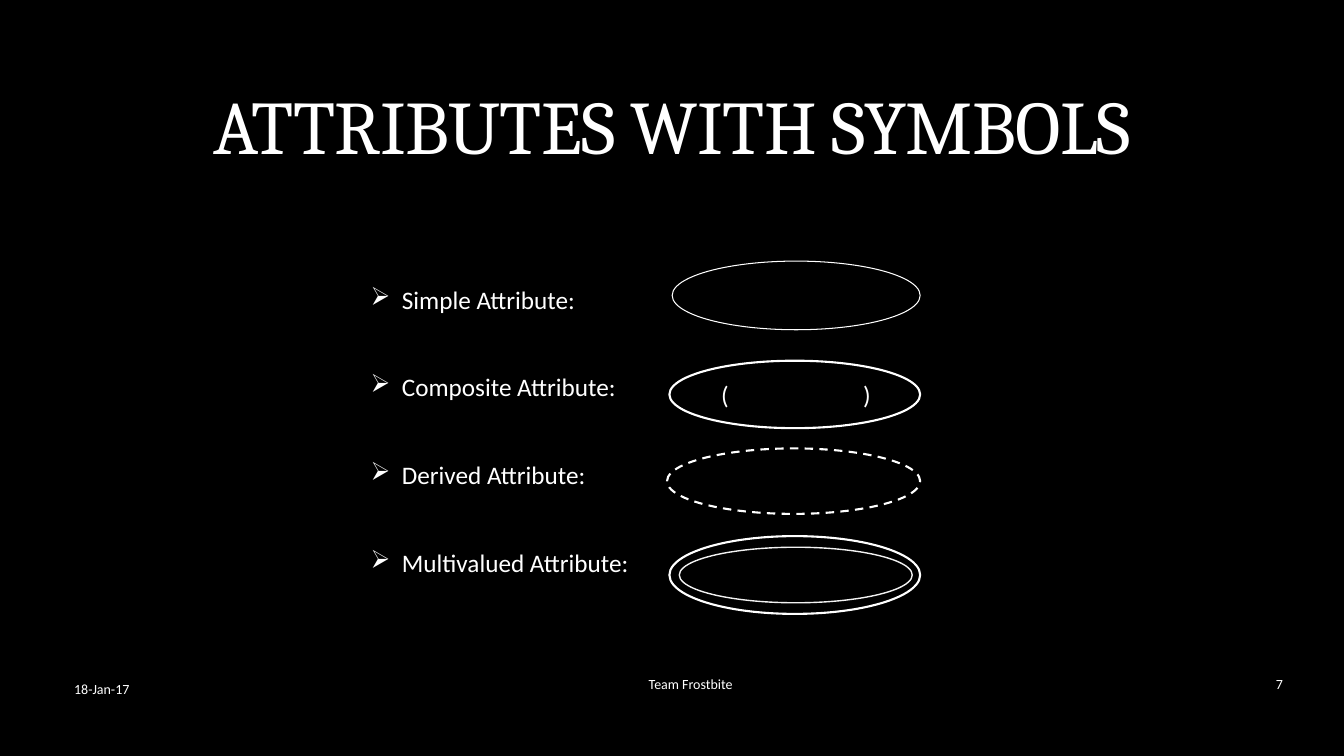
from lxml import etree
from pptx import Presentation
from pptx import util as u
from pptx.dml.color import RGBColor
from pptx.enum import dml, shapes, text
from pptx.oxml.ns import qn

THEME = {
    "background": "000000", "ink": "FFFFFF", "inner_ring": "F2F2F2",
    "heading_font": "Cambria", "body_font": "Calibri",
    "title_size": 54, "body_size": 18, "footer_size": 10,
}
TITLE = "ATTRIBUTES WITH SYMBOLS"
# Each attribute: label, then its ellipses as
# (left, top, width, height in cm, line width in pt, colour, dashed, text)
ATTRIBUTES = [
    ("Simple Attribute:",
     [(16.94, 6.58, 6.25, 1.73, 0.75, "ink", False, "")]),
    ("Composite Attribute:",
     [(16.87, 9.09, 6.32, 1.7, 1.5, "ink", False, "(\t)")]),
    ("Derived Attribute:",
     [(16.81, 11.3, 6.38, 1.65, 1.5, "ink", True, "")]),
    ("Multivalued Attribute:",
     [(16.87, 13.51, 6.32, 1.96, 1.5, "ink", False, ""),
      (17.12, 13.79, 5.87, 1.4, 1, "inner_ring", False, "")]),
]
# Each footer: text, box in cm, alignment
FOOTERS = [
    ("18-Jan-17", (1.55, 16.84, 1.96, 1.04), "RIGHT"),
    ("Team Frostbite", (16.1, 16.71, 7.77, 1.04), "LEFT"),
    ("7", (31.06, 16.71, 1.52, 1.04), "RIGHT"),
]
TITLE_BOX = (0, 1.7, 33.87, 4.04)
LIST_BOX = (9.09, 5.79, 16.41, 10.13)
LIST_GAP, LIST_INDENT = 41.1, 0.79
BRACKET_INSET, BRACKET_TAB = 0.38, 3.58


def color(name):
    """Return a theme colour."""
    return RGBColor.from_string(THEME[name])


def apply(target, **values):
    """Set every given attribute on the target."""
    for key, value in values.items():
        setattr(target, key, value)


def write(frame, lines, size, font="body_font", align="LEFT", **frame_format):
    """Fill a text frame with one paragraph per line and return the paragraphs."""
    apply(frame, **{"word_wrap": True,
                    "vertical_anchor": text.MSO_ANCHOR.MIDDLE, **frame_format})
    frame.text = "\n".join(lines)
    for paragraph in frame.paragraphs:
        paragraph.alignment = text.PP_ALIGN[align]
        for run in paragraph.runs:
            apply(run.font, name=THEME[font], size=u.Pt(THEME[size]))
            run.font.color.rgb = color("ink")
    return frame.paragraphs


def add_text(slide, box, lines, size, **options):
    """Add a text box and return its paragraphs."""
    frame = slide.shapes.add_textbox(*map(u.Cm, box)).text_frame
    return write(frame, lines, size, **options)


def add_bullet(paragraph):
    """Give a paragraph an arrow bullet with a hanging indent."""
    properties = paragraph._p.get_or_add_pPr()
    properties.set("marL", str(u.Cm(LIST_INDENT)))
    properties.set("indent", str(-u.Cm(LIST_INDENT)))
    etree.SubElement(properties, qn("a:buChar")).set("char", "\u27a2")


def add_tab(paragraph, position):
    """Add a left tab stop to a paragraph."""
    stops = etree.SubElement(paragraph._p.get_or_add_pPr(), qn("a:tabLst"))
    stop = etree.SubElement(stops, qn("a:tab"))
    stop.set("pos", str(u.Cm(position)))
    stop.set("algn", "l")


def add_symbol(slide, left, top, width, height, weight, ink, dashed, brackets):
    """Draw one attribute ellipse, with brackets where it has them."""
    symbol = slide.shapes.add_shape(
        shapes.MSO_SHAPE.OVAL, *map(u.Cm, (left, top, width, height)))
    symbol.shadow.inherit = False
    symbol.fill.background()
    symbol.line.width = u.Pt(weight)
    symbol.line.color.rgb = color(ink)
    if dashed:
        symbol.line.dash_style = dml.MSO_LINE.DASH
    if brackets:
        line, = write(symbol.text_frame, [brackets], "body_size",
                      margin_left=u.Cm(BRACKET_INSET))
        add_tab(line, BRACKET_TAB)


def build():
    """Build the slide and save it."""
    deck = Presentation()
    apply(deck, slide_width=u.Cm(33.87), slide_height=u.Cm(19.05))
    slide = deck.slides.add_slide(deck.slide_layouts[6])
    slide.background.fill.solid()
    slide.background.fill.fore_color.rgb = color("background")

    heading, = add_text(slide, TITLE_BOX, [TITLE], "title_size",
                        font="heading_font", align="CENTER",
                        vertical_anchor=text.MSO_ANCHOR.TOP, margin_top=u.Cm(0.29))
    heading.runs[0].font._element.set("spc", "-50")

    labels = [label for label, _ in ATTRIBUTES]
    for paragraph in add_text(slide, LIST_BOX, labels, "body_size"):
        paragraph.space_after = u.Pt(LIST_GAP)
        add_bullet(paragraph)
    for _, symbols in ATTRIBUTES:
        for symbol in symbols:
            add_symbol(slide, *symbol)

    for words, box, align in FOOTERS:
        add_text(slide, box, [words], "footer_size", align=align, margin_left=u.Cm(
            0.25 if align == "LEFT" else 0))
    deck.save("out.pptx")


build()
